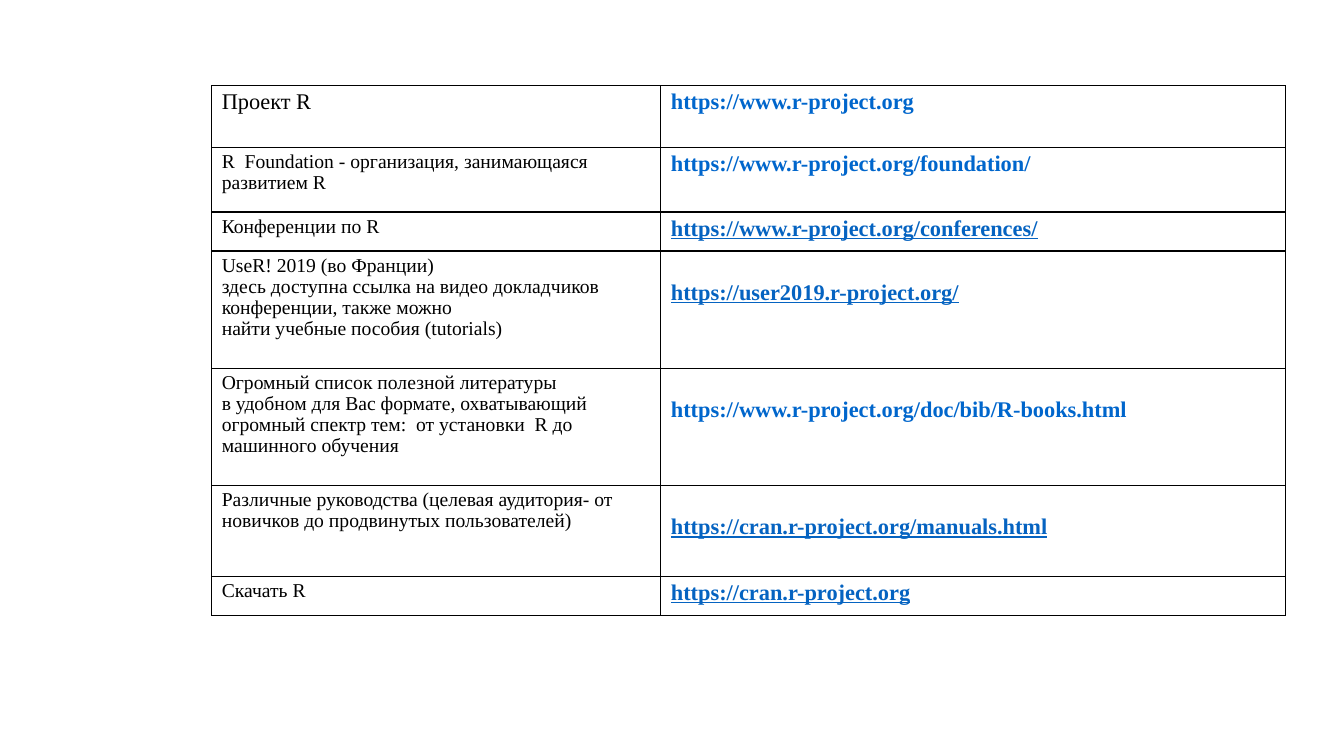
import dataclasses

import pptx
import pptx.dml.color
import pptx.oxml
import pptx.oxml.ns
import pptx.util

Pt = pptx.util.Pt
RGB = pptx.dml.color.RGBColor.from_string


@dataclasses.dataclass(frozen=True)
class Theme:
    """Colours, type sizes and spacing of the slide."""
    font: str = "Times New Roman"
    text: str = "000000"
    address: str = "0066CC"
    link: str = "0563C1"
    border: str = "000000"
    large: int = 16
    normal: int = 14
    line_spacing: float = 0.96
    margin: float = 3.6
    lowered_margin: float = 21.5


class Deck:
    """Holds the theme and the current slide."""

    def __init__(self, prs, theme):
        """Adds a blank slide to the presentation."""
        self.theme = theme
        self.s = prs.slides.add_slide(prs.slide_layouts[6])

    def borders(self, cell):
        """Draws a thin line on all four sides of a cell."""
        tcPr = cell._tc.get_or_add_tcPr()
        for side in "LRTB":
            tcPr.append(pptx.oxml.parse_xml(
                f'<a:ln{side} {pptx.oxml.ns.nsdecls("a")} w="{Pt(1)}"><a:solidFill>'
                f'<a:srgbClr val="{self.theme.border}"/></a:solidFill></a:ln{side}>'))

    def cell(self, cell, lines, size, color, top, **style):
        """Fills a table cell with one paragraph per line."""
        self.borders(cell)
        cell.fill.background()
        cell.margin_top = Pt(top)
        tf = cell.text_frame
        values = {"name": self.theme.font, "size": Pt(size), **style}
        for i, line in enumerate(lines):
            p = tf.paragraphs[0] if i == 0 else tf.add_paragraph()
            p.line_spacing = self.theme.line_spacing
            r = p.add_run()
            r.text = line
            for name, value in values.items():
                setattr(r.font, name, value)
            r.font.color.rgb = RGB(color)

    def table(self, left, top, widths, rows):
        """Adds a two-column table of topics and web addresses."""
        t = self.theme
        heights = [row[0] for row in rows]
        frame = self.s.shapes.add_table(len(rows), len(widths), Pt(left), Pt(top),
                                        Pt(sum(widths)), Pt(sum(heights)))
        table = frame.table
        table.first_row = table.horz_banding = False
        for column, width in zip(table.columns, widths):
            column.width = Pt(width)
        for i, (height, size, topic, url, underline, lowered) in enumerate(rows):
            table.rows[i].height = Pt(height)
            self.cell(table.cell(i, 0), topic, size, t.text, t.margin, bold=False)
            self.cell(table.cell(i, 1), [url], t.large,
                      t.link if underline else t.address,
                      t.lowered_margin if lowered else t.margin,
                      bold=True, underline=underline)


def main():
    """Builds the slide of R resources."""
    prs = pptx.Presentation()
    prs.slide_width, prs.slide_height = Pt(960), Pt(540)
    theme = Theme()
    deck = Deck(prs, theme)
    large, normal = theme.large, theme.normal
    rows = [
        (43.9, large, ["Проект R"], "https://www.r-project.org", False, False),
        (46.4, normal, ["R  Foundation - организация, занимающаяся", "развитием R"],
         "https://www.r-project.org/foundation/", False, False),
        (27.9, normal, ["Конференции по R"],
         "https://www.r-project.org/conferences/", True, False),
        (83.6, normal, ["UseR! 2019 (во Франции)",
                        "здесь доступна ссылка на видео докладчиков",
                        "конференции, также можно",
                        "найти учебные пособия (tutorials)"],
         "https://user2019.r-project.org/", True, True),
        (83.6, normal, ["Огромный список полезной литературы",
                        "в удобном для Вас формате, охватывающий",
                        "огромный спектр тем:  от установки  R до",
                        "машинного обучения"],
         "https://www.r-project.org/doc/bib/R-books.html", False, True),
        (65, normal, ["Различные руководства (целевая аудитория- от",
                      "новичков до продвинутых пользователей)"],
         "https://cran.r-project.org/manuals.html", True, True),
        (27.9, normal, ["Скачать R"], "https://cran.r-project.org", True, False),
    ]
    deck.table(151.2, 61.2, [320.8, 446.4], rows)
    prs.save("out.pptx")


if __name__ == "__main__":
    main()
